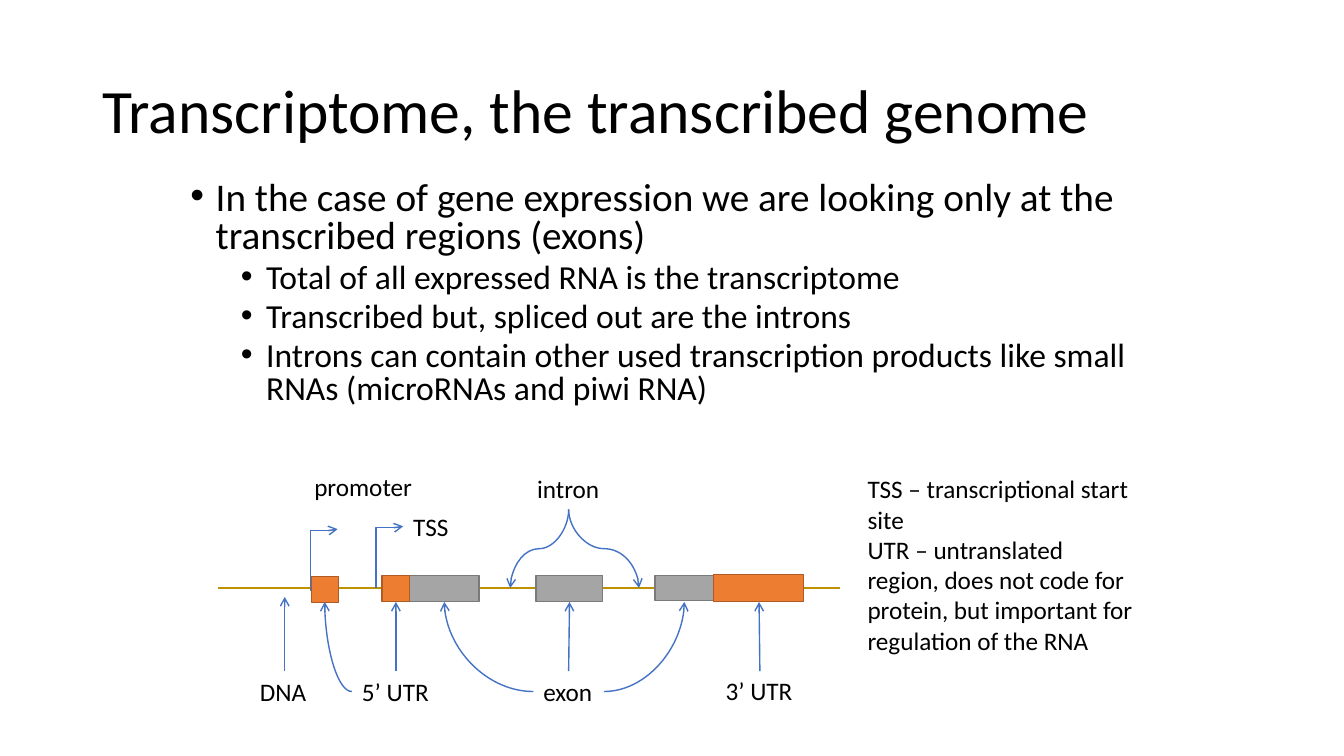
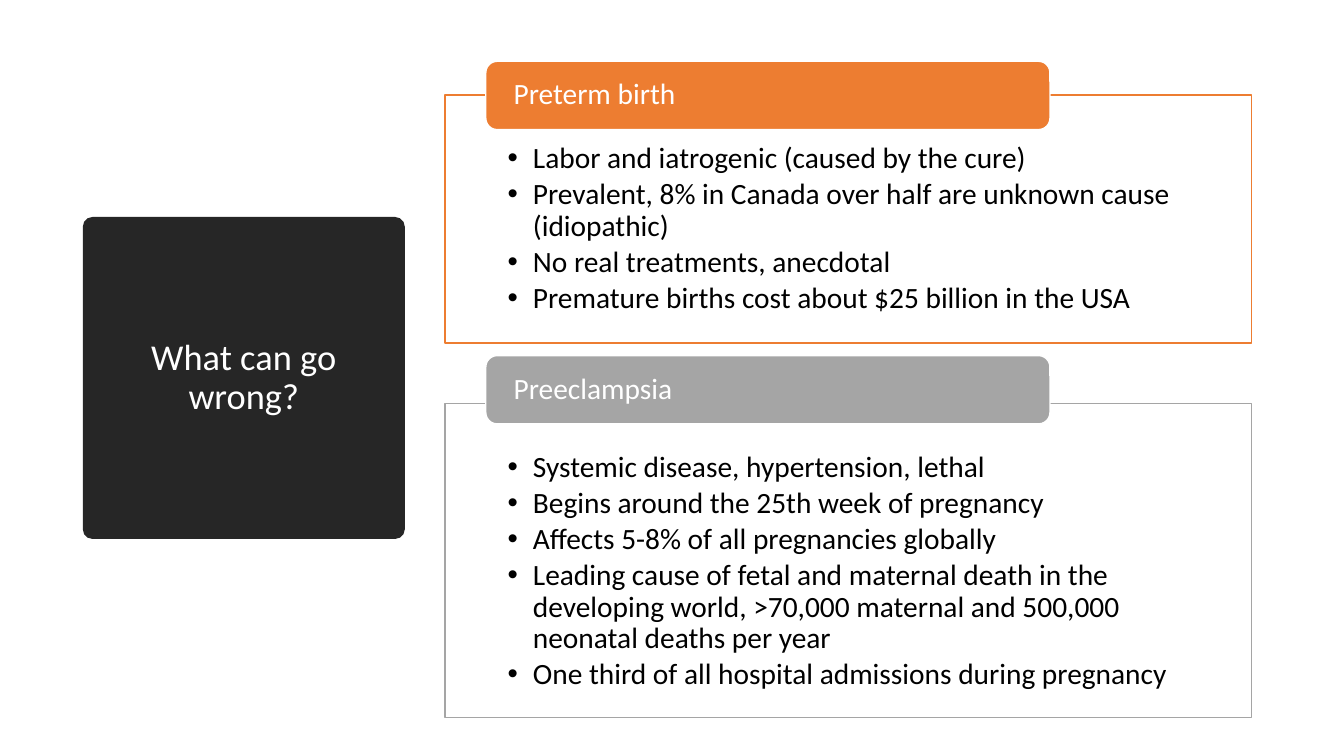
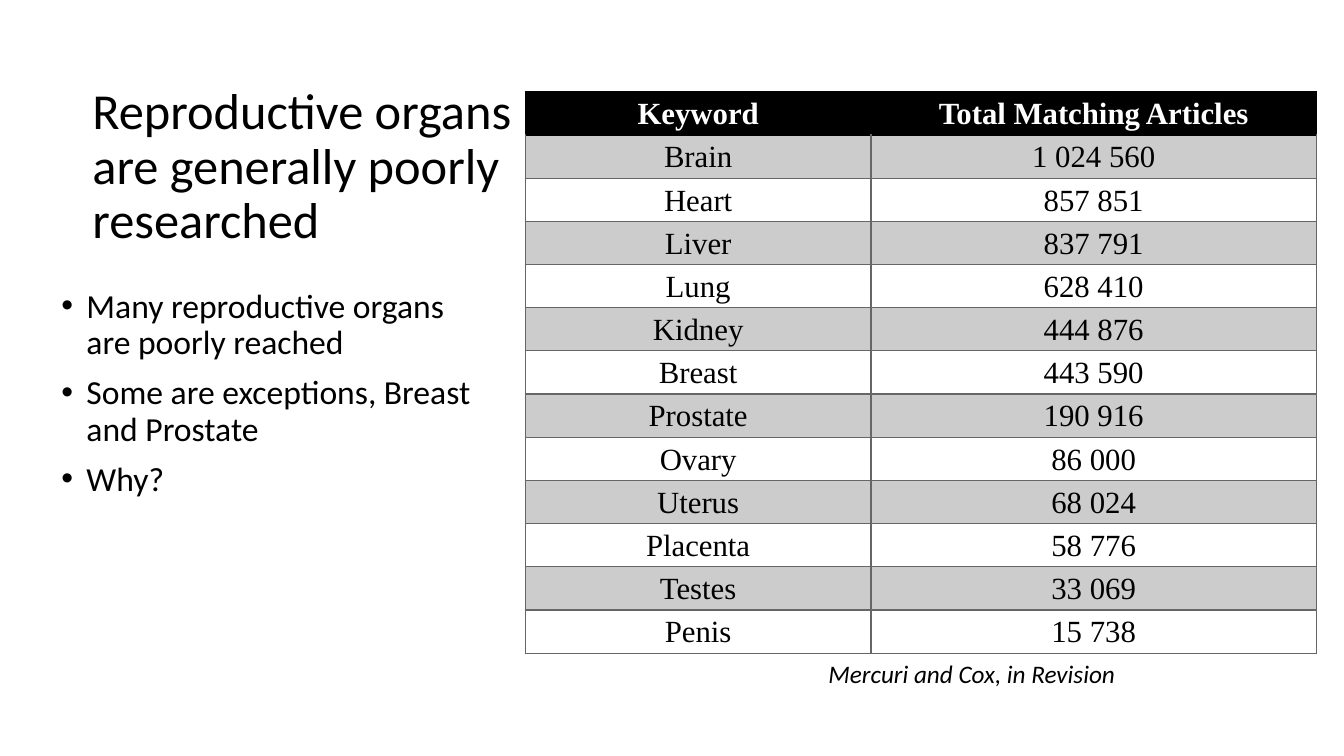
from lxml.etree import SubElement
from pptx import Presentation
from pptx.dml.color import RGBColor
from pptx.enum.shapes import MSO_CONNECTOR, MSO_SHAPE
from pptx.enum.text import MSO_ANCHOR, PP_ALIGN
from pptx.oxml.ns import qn
from pptx.util import Pt

# Shared look
BLACK = RGBColor(0x00, 0x00, 0x00)
WHITE = RGBColor(0xFF, 0xFF, 0xFF)
CHARCOAL = RGBColor(0x26, 0x26, 0x26)
ORANGE = RGBColor(0xED, 0x7D, 0x31)
ORANGE_EDGE = RGBColor(0xAF, 0x5C, 0x24)
GREY = RGBColor(0xA5, 0xA5, 0xA5)
GREY_EDGE = RGBColor(0x7A, 0x7A, 0x7A)
BAND = RGBColor(0xCC, 0xCC, 0xCC)
GRID = RGBColor(0x66, 0x66, 0x66)
GOLD = RGBColor(0xBF, 0x90, 0x00)
BLUE = RGBColor(0x44, 0x72, 0xC4)

SANS, SERIF = "Calibri", "Times New Roman"
INSETS = (7.2, 3.6, 7.2, 3.6)
BULLET_INDENT = 18


def apply(obj, values):
    for name, value in values.items():
        setattr(obj, name, value)


def set_frame(tf, insets=INSETS, anchor=MSO_ANCHOR.TOP, wrap=True):
    sides = ("margin_left", "margin_top", "margin_right", "margin_bottom")
    apply(tf, dict(zip(sides, map(Pt, insets))))
    apply(tf, {"vertical_anchor": anchor, "word_wrap": wrap})


def add_bullet(p, indent):
    pPr = p._p.get_or_add_pPr()
    pPr.set("marL", str(Pt(indent)))
    pPr.set("indent", str(-Pt(BULLET_INDENT)))
    SubElement(pPr, qn("a:buFont"), typeface="Arial")
    SubElement(pPr, qn("a:buChar"), char="•")


def write(tf, lines, size, color=BLACK, bullets=None, para=None, **font):
    """Write one paragraph per line; bullets is the left indent of the text."""
    for i, line in enumerate(lines):
        p = tf.paragraphs[0] if i == 0 else tf.add_paragraph()
        apply(p, {"alignment": PP_ALIGN.LEFT, **(para or {})})
        if i == 0:
            p.space_before = Pt(0)
        if bullets:
            add_bullet(p, bullets)
        r = p.add_run()
        r.text = line
        apply(r.font, {"name": SANS, "size": Pt(size), **font})
        r.font.color.rgb = color


def add_text(s, box, lines, size, wrap=True, anchor=MSO_ANCHOR.TOP, **style):
    tf = s.shapes.add_textbox(*map(Pt, box)).text_frame
    set_frame(tf, anchor=anchor, wrap=wrap)
    write(tf, lines, size, **style)
    return tf


def add_title(s, box, text, size):
    add_text(s, box, [text], size, anchor=MSO_ANCHOR.MIDDLE,
             para={"line_spacing": 0.9})


def add_box(s, kind, box, fill, edge=None):
    sp = s.shapes.add_shape(kind, *map(Pt, box))
    sp.shadow.inherit = False
    sp.fill.solid()
    sp.fill.fore_color.rgb = fill
    if edge is None:
        sp.line.fill.background()
    else:
        sp.line.color.rgb = edge
        sp.line.width = Pt(1)
    return sp


def add_line(s, kind, start, end, color=BLUE, arrow=True):
    cx = s.shapes.add_connector(kind, *map(Pt, (*start, *end)))
    cx.line.color.rgb = color
    cx.line.width = Pt(1)
    spPr = cx._element.spPr
    if arrow:
        SubElement(spPr.find(qn("a:ln")), qn("a:tailEnd"), type="arrow")
    SubElement(spPr, qn("a:effectLst"))
    return spPr


def add_arc(s, start, end):
    """Curved arrow that leaves sideways and arrives vertically."""
    spPr = add_line(s, MSO_CONNECTOR.CURVE, start, end)
    spPr.find(qn("a:prstGeom")).set("prst", "curvedConnector2")


def add_upright(s, kind, start, end, bend=0.5):
    """Connector that leaves vertically: its box is turned a quarter."""
    (x1, y1), (x2, y2) = start, end
    dx, dy = x2 - x1, y2 - y1
    mid_x, mid_y = (x1 + x2) / 2, (y1 + y2) / 2
    angle, u, v = (270, -dy, dx) if dx * dy > 0 else (90, dy, -dx)
    spPr = add_line(s, kind, (mid_x - u / 2, mid_y - v / 2),
                    (mid_x + u / 2, mid_y + v / 2))
    spPr.find(qn("a:xfrm")).set("rot", str(angle * 60000))
    guides = spPr.find(qn("a:prstGeom")).find(qn("a:avLst"))
    SubElement(guides, qn("a:gd"), name="adj1",
               fmla=f"val {round(bend * 100000)}")


def set_borders(cell, color, top):
    tcPr = cell._tc.get_or_add_tcPr()
    for i, side in enumerate(("lnL", "lnR", "lnT", "lnB")):
        ln = SubElement(tcPr, qn(f"a:{side}"), w=str(Pt(1)))
        fill = SubElement(ln, qn("a:solidFill"))
        SubElement(fill, qn("a:srgbClr"),
                   val=str(top if side == "lnT" else color))
        tcPr.insert(i, ln)


def add_grid(s, left, top, widths, row_height, rows):
    table = s.shapes.add_table(len(rows), len(widths), Pt(left), Pt(top),
                               Pt(sum(widths)),
                               Pt(row_height * len(rows))).table
    for column, width in zip(table.columns, widths):
        column.width = Pt(width)
    for i, values in enumerate(rows):
        table.rows[i].height = Pt(row_height)
        head = i == 0
        fill = BLACK if head else BAND if i % 2 else WHITE
        for cell, text in zip(table.rows[i].cells, values):
            sides = {"margin_left": 10, "margin_top": 1.4,
                     "margin_right": 10, "margin_bottom": 0}
            apply(cell, {name: Pt(v) for name, v in sides.items()})
            cell.vertical_anchor = MSO_ANCHOR.MIDDLE
            cell.fill.solid()
            cell.fill.fore_color.rgb = fill
            set_borders(cell, BLACK if head else GRID,
                        BLACK if i < 2 else GRID)
            write(cell.text_frame, [text], 22, WHITE if head else BLACK,
                  para={"alignment": PP_ALIGN.CENTER}, name=SERIF, bold=head)


def add_panel(s, top, height, tab_top, color, heading, points):
    """Outlined list with a rounded heading tab over its upper edge."""
    frame = add_box(s, MSO_SHAPE.RECTANGLE, (318, top, 576, height),
                    WHITE, color)
    set_frame(frame.text_frame, (44.7, 34.6, 44.7, 11.5))
    write(frame.text_frame, points, 21, bullets=BULLET_INDENT,
          para={"line_spacing": 0.9, "space_after": Pt(3)})
    tab = add_box(s, MSO_SHAPE.ROUNDED_RECTANGLE, (347, tab_top, 403, 48.8),
                  color, WHITE)
    set_frame(tab.text_frame, (17.5, 0, 17.5, 0), MSO_ANCHOR.MIDDLE)
    write(tab.text_frame, [heading], 21, WHITE, para={"line_spacing": 0.9})


def add_gene(s):
    # DNA strand with exons, untranslated regions and promoter
    add_line(s, MSO_CONNECTOR.STRAIGHT, (155.6, 420), (600, 420),
             GOLD, arrow=False)
    for x, y, w, h in ((468, 411, 42, 18), (383, 411, 47.6, 18.8),
                       (292.4, 411, 49.7, 18.8)):
        add_box(s, MSO_SHAPE.RECTANGLE, (x, y, w, h), GREY, GREY_EDGE)
    for x, y, w, h in ((273, 411, 19.4, 18.8), (509.8, 410.4, 64.2, 19.4),
                       (222.4, 411.6, 19.4, 18.8)):
        add_box(s, MSO_SHAPE.RECTANGLE, (x, y, w, h), ORANGE, ORANGE_EDGE)

    # Labels
    for text, x, y, w in (("TSS", 288, 361.4, 40.4),
                          ("exon", 381, 479.4, 50.4),
                          ("intron", 376.6, 334.8, 59.8),
                          ("5’ UTR", 251.4, 479.4, 63.4),
                          ("3’ UTR", 511.2, 479, 63.4),
                          ("promoter", 217.4, 332.8, 85.7),
                          ("DNA", 178.6, 479.4, 48.2)):
        add_text(s, (x, y, w, 29), [text], 18, wrap=False)

    # Start-site flags, intron braces
    for x, y in ((268.6, 420), (221.8, 422)):
        add_upright(s, MSO_CONNECTOR.ELBOW, (x, y), (x + 19.4, y - 44),
                    bend=0.98)
    for x in (364.4, 456.5):
        add_upright(s, MSO_CONNECTOR.CURVE, (406.2, 363.8), (x, 420))

    # Arrows from the lower labels
    for x1, x2, y2 in ((203.4, 203.4, 426.4), (282.8, 282.8, 430),
                       (406.2, 406.8, 430), (542.8, 542.2, 430)):
        add_line(s, MSO_CONNECTOR.STRAIGHT, (x1, 479.4), (x2, y2))
    for x1, x2 in ((381, 317.4), (431.4, 488.8), (251.4, 232)):
        add_arc(s, (x1, 494), (x2, 430))


def transcriptome_slide(s):
    add_title(s, (66, 28.8, 828, 104.4),
              "Transcriptome, the transcribed genome", 44)
    tf = add_text(s, (129, 126, 700.6, 173.6), [
        "In the case of gene expression we are looking only at the "
        "transcribed regions (exons)"], 28, bullets=BULLET_INDENT,
        para={"line_spacing": 0.8})
    for line in ("Total of all expressed RNA is the transcriptome",
                 "Transcribed but, spliced out are the introns",
                 "Introns can contain other used transcription products like "
                 "small RNAs (microRNAs and piwi RNA)"):
        p = tf.add_paragraph()
        apply(p, {"level": 1, "line_spacing": 0.8, "space_before": Pt(5)})
        add_bullet(p, 54)
        r = p.add_run()
        r.text = line
        apply(r.font, {"name": SANS, "size": Pt(24)})
        r.font.color.rgb = BLACK
    add_gene(s)
    add_text(s, (612.6, 334.8, 204.6, 138.2), [
        "TSS – transcriptional start site",
        "UTR – untranslated region, does not code for protein, but important "
        "for regulation of the RNA"], 18)


def complications_slide(s):
    sp = add_box(s, MSO_SHAPE.ROUNDED_RECTANGLE, (59.2, 155, 230, 230),
                 CHARCOAL)
    sp.adjustments[0] = 0.03
    set_frame(sp.text_frame, (14, 10, 14, 10), MSO_ANCHOR.MIDDLE)
    write(sp.text_frame, ["What can go wrong?"], 26, WHITE,
          para={"alignment": PP_ALIGN.CENTER, "line_spacing": 0.9})
    add_panel(s, 67.8, 177.2, 43.8, ORANGE, "Preterm birth", [
        "Labor and iatrogenic (caused by the cure)",
        "Prevalent, 8% in Canada over half are unknown cause (idiopathic)",
        "No real treatments, anecdotal",
        "Premature births cost about $25 billion in the USA"])
    add_panel(s, 288.4, 224, 254, GREY, "Preeclampsia", [
        "Systemic disease, hypertension, lethal",
        "Begins around the 25th week of pregnancy",
        "Affects 5-8% of all pregnancies globally",
        "Leading cause of fetal and maternal death in the developing world, "
        ">70,000 maternal and 500,000 neonatal deaths per year",
        "One third of all hospital admissions during pregnancy"])


def research_slide(s):
    add_title(s, (59, 49.7, 319.7, 140.4),
              "Reproductive organs are generally poorly researched", 36)
    add_text(s, (36.7, 203, 319.7, 216.7), [
        "Many reproductive organs are poorly reached",
        "Some are exceptions, Breast and Prostate",
        "Why?"], 24, bullets=BULLET_INDENT,
        para={"line_spacing": 0.9, "space_before": Pt(10)})
    add_text(s, (584.6, 466.6, 262.8, 29), ["Mercuri and Cox, in Revision"],
             18, italic=True)
    add_grid(s, 375.2, 65.6, (247, 318), 30.85, (
        ("Keyword", "Total Matching Articles"),
        ("Brain", "1 024 560"),
        ("Heart", "857 851"),
        ("Liver", "837 791"),
        ("Lung", "628 410"),
        ("Kidney", "444 876"),
        ("Breast", "443 590"),
        ("Prostate", "190 916"),
        ("Ovary", "86 000"),
        ("Uterus", "68 024"),
        ("Placenta", "58 776"),
        ("Testes", "33 069"),
        ("Penis", "15 738")))


def main():
    prs = Presentation()
    apply(prs, {"slide_width": Pt(960), "slide_height": Pt(540)})
    for build in (transcriptome_slide, complications_slide, research_slide):
        build(prs.slides.add_slide(prs.slide_layouts[6]))
    prs.save("out.pptx")


if __name__ == "__main__":
    main()
